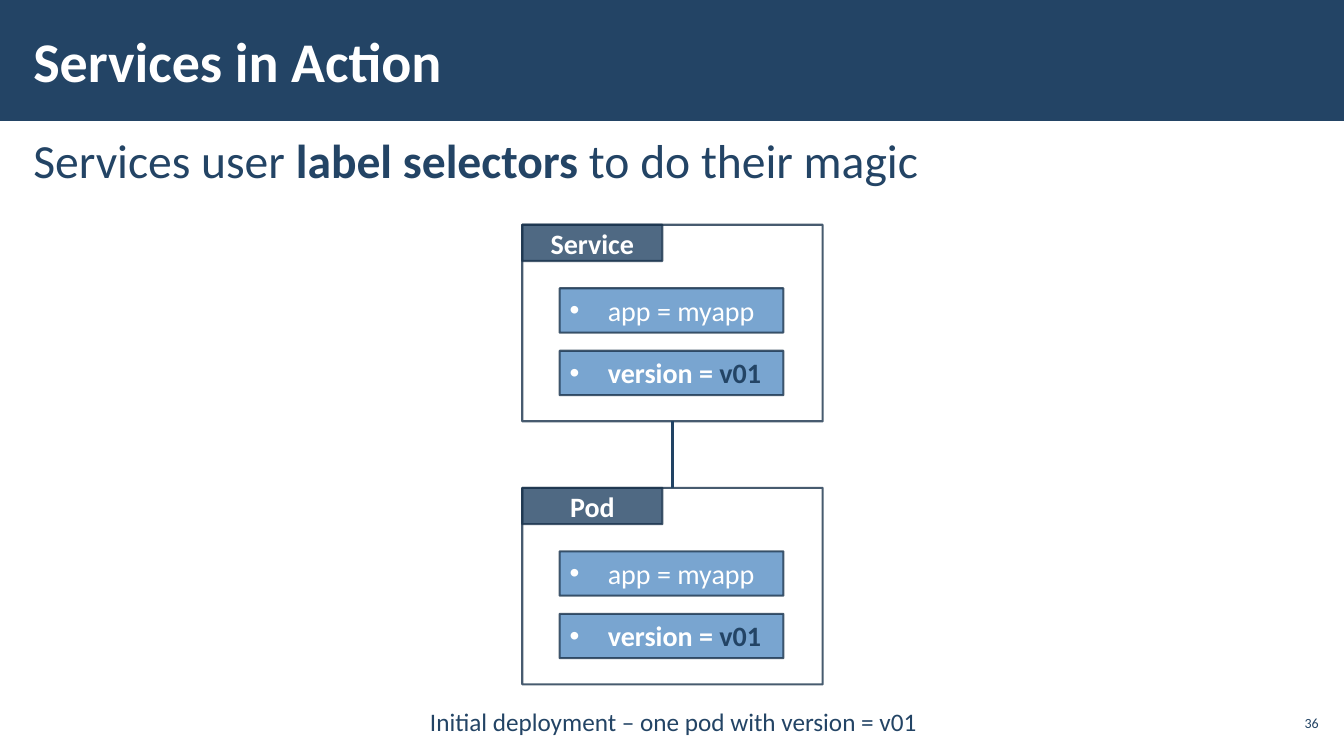
from lxml import etree
from pptx import Presentation
from pptx.dml.color import RGBColor
from pptx.enum.shapes import MSO_CONNECTOR, MSO_SHAPE
from pptx.enum.text import MSO_ANCHOR, PP_ALIGN
from pptx.oxml.ns import qn
from pptx.util import Inches, Pt

TITLE = "Services in Action"
# Runs are (text, bold, colour)
NAVY, DARK, BLUE, WHITE = "234465", "1A334C", "588FC5", "FFFFFF"
STATEMENT = [
    ("Services user ", False, NAVY),
    ("label selectors ", True, NAVY),
    ("to do their magic", False, NAVY),
]
LABELS = [
    [("app = myapp", False, WHITE)],
    [("version = ", True, WHITE), ("v01", True, NAVY)],
]
CARDS = ["Service", "Pod"]
CAPTION = "Initial deployment – one pod with version = v01"
PAGE = "36"

FONT = "Calibri"
CARD_X, CARD_Y, CARD_W, CARD_H = 5.18, 2.23, 2.98, 1.95
CARD_STEP = 2.61
TAB_W, TAB_H = 1.39, 0.36
LABEL_DX, LABEL_DY, LABEL_W, LABEL_H = 0.37, 0.63, 2.22, 0.44
LABEL_STEP = 0.62
CENTRE_X = CARD_X + CARD_W / 2


def rgb(colour):
    return RGBColor.from_string(colour)


def place(shape, x, y, w, h):
    shape.left, shape.top = Inches(x), Inches(y)
    shape.width, shape.height = Inches(w), Inches(h)


def set_insets(frame, horizontal, vertical):
    frame.margin_left = frame.margin_right = Inches(horizontal)
    frame.margin_top = frame.margin_bottom = Inches(vertical)


def write(paragraph, runs, size, align=PP_ALIGN.LEFT):
    """Put (text, bold, colour) runs into a paragraph."""
    paragraph.alignment = align
    paragraph.font.name, paragraph.font.size = FONT, Pt(size)
    for text, bold, colour in runs:
        run = paragraph.add_run()
        run.text = text
        run.font.bold = bold
        run.font.color.rgb = rgb(colour)


def set_bullet(paragraph, char=None, indent=0):
    """Hang the paragraph on a bullet, or remove its bullet."""
    props = paragraph._p.get_or_add_pPr()
    props.set("marL", str(Inches(indent)))
    props.set("indent", str(-Inches(indent)))
    if char:
        etree.SubElement(props, qn("a:buFont")).set("typeface", "Arial")
        etree.SubElement(props, qn("a:buChar")).set("char", char)
    else:
        etree.SubElement(props, qn("a:buNone"))


def add_box(shapes, x, y, w, h, fill, line=None):
    """Add a rectangle; an outlined one is 80% opaque."""
    box = shapes.add_shape(MSO_SHAPE.RECTANGLE, 0, 0, 0, 0)
    place(box, x, y, w, h)
    box.shadow.inherit = False
    box.fill.solid()
    box.fill.fore_color.rgb = rgb(fill)
    if line is None:
        box.line.fill.background()
        return box
    box.line.color.rgb = rgb(line)
    box.line.width = Pt(1.5)
    for colour in box._element.spPr.iter(qn("a:srgbClr")):
        etree.SubElement(colour, qn("a:alpha")).set("val", "80000")
    return box


def add_text(shapes, x, y, w, h, text, size, align, insets):
    box = shapes.add_textbox(0, 0, 0, 0)
    place(box, x, y, w, h)
    frame = box.text_frame
    frame.word_wrap = True
    set_insets(frame, *insets)
    write(frame.paragraphs[0], [(text, False, NAVY)], size, align)
    return frame


def add_card(slide, name, y):
    card = slide.shapes.add_group_shape().shapes
    add_box(card, CARD_X, y, CARD_W, CARD_H, WHITE, DARK)
    tab = add_box(card, CARD_X, y, TAB_W, TAB_H, NAVY, DARK).text_frame
    tab.vertical_anchor = MSO_ANCHOR.MIDDLE
    write(tab.paragraphs[0], [(name, True, WHITE)], 20, PP_ALIGN.CENTER)
    for row, runs in enumerate(LABELS):
        label = add_box(card, CARD_X + LABEL_DX, y + LABEL_DY + row * LABEL_STEP,
                        LABEL_W, LABEL_H, BLUE, DARK).text_frame
        label.vertical_anchor = MSO_ANCHOR.TOP
        set_bullet(label.paragraphs[0], "•", 0.38)
        write(label.paragraphs[0], runs, 20)


def main():
    deck = Presentation()
    deck.slide_width, deck.slide_height = Inches(13.33), Inches(7.5)
    slide = deck.slides.add_slide(deck.slide_layouts[1])
    shapes = slide.shapes

    band = add_box(shapes, 0, 0, 13.33, 1.2, NAVY)
    shapes._spTree.insert(2, band._element)

    title, body = shapes.title, slide.placeholders[1]
    place(title, 0.21, 0.11, 10.63, 0.97)
    place(body, 0.21, 1.26, 12.91, 6.09)
    for holder in (title, body):
        set_insets(holder.text_frame, 0.12, 0.04)
    title.text_frame.vertical_anchor = MSO_ANCHOR.MIDDLE
    write(title.text_frame.paragraphs[0], [(TITLE, True, WHITE)], 40)

    statement = body.text_frame.paragraphs[0]
    set_bullet(statement)
    statement.space_before, statement.space_after = Pt(0), Pt(6)
    write(statement, STATEMENT, 34)

    for order, name in enumerate(CARDS):
        add_card(slide, name, CARD_Y + order * CARD_STEP)
    link = shapes.add_connector(
        MSO_CONNECTOR.STRAIGHT, Inches(CENTRE_X), Inches(CARD_Y + CARD_H),
        Inches(CENTRE_X), Inches(CARD_Y + CARD_STEP))
    link.line.color.rgb = rgb("214364")
    link.line.width = Pt(2.25)
    etree.SubElement(link._element.spPr, qn("a:effectLst"))

    caption = add_text(shapes, 2.38, 6.86, 8.6, 0.56, CAPTION, 18,
                       PP_ALIGN.CENTER, (0.16, 0.12))
    caption.paragraphs[0].line_spacing = 1.1
    page = add_text(shapes, 12.65, 7, 0.47, 0.34, PAGE, 10,
                    PP_ALIGN.RIGHT, (0.04, 0.04))
    page.vertical_anchor = MSO_ANCHOR.MIDDLE

    deck.save("out.pptx")


if __name__ == "__main__":
    main()
